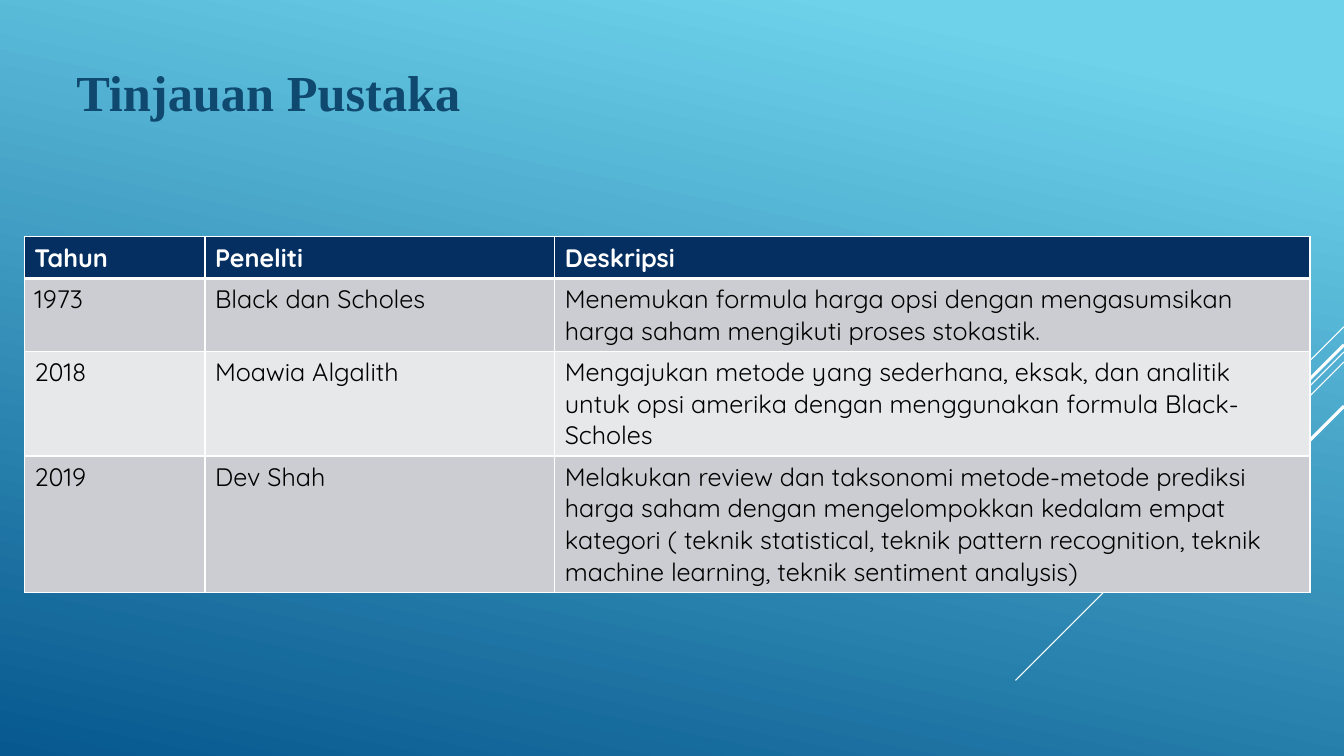
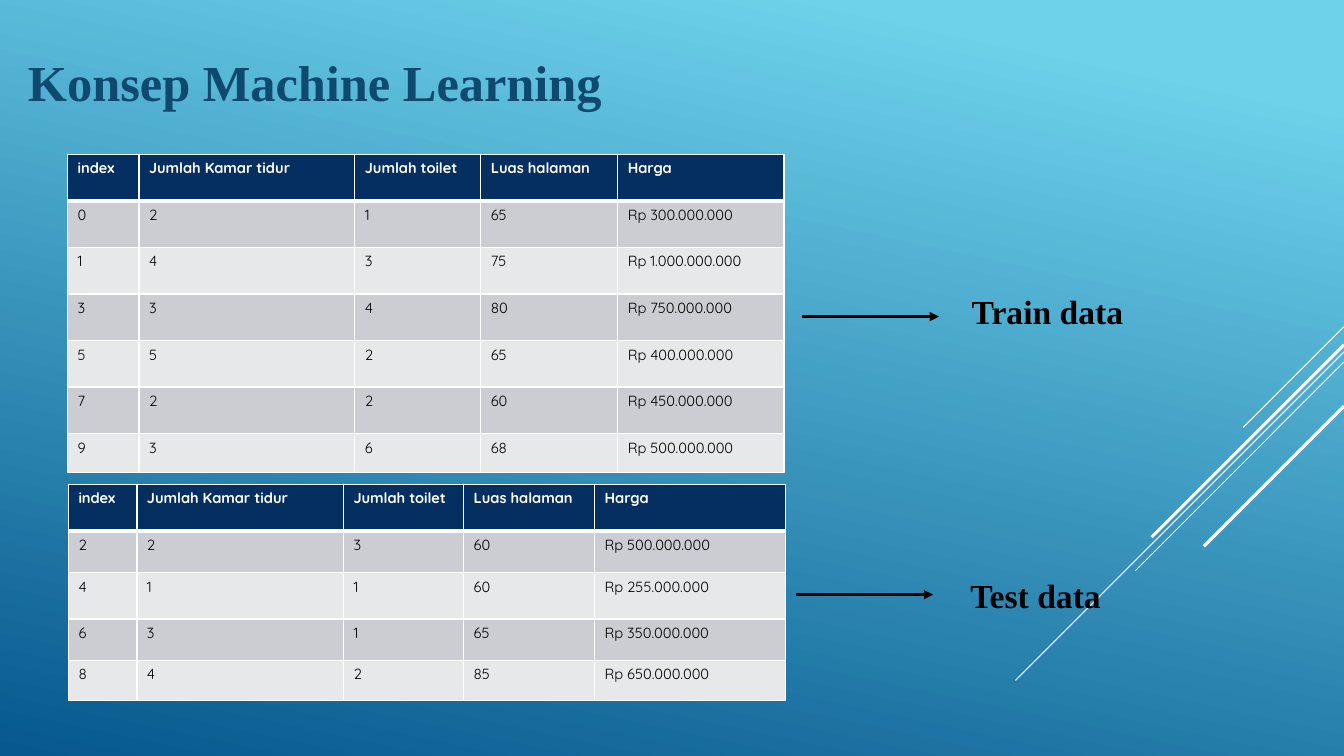
from lxml import etree
from pptx import Presentation
from pptx import util as u
from pptx.dml.color import RGBColor
from pptx.enum import shapes, text
from pptx.oxml import ns

SKY = RGBColor(0x6E, 0xD2, 0xEB)
SEA = RGBColor(0x06, 0x58, 0x8E)
INK = RGBColor(0x0F, 0x49, 0x6F)
NAVY = RGBColor(0x05, 0x2F, 0x61)
GREY = RGBColor(0xCC, 0xCD, 0xD2)
PALE = RGBColor(0xE7, 0xE8, 0xEA)
WHITE = RGBColor(0xFF, 0xFF, 0xFF)
BLACK = RGBColor(0x00, 0x00, 0x00)

SERIF = "Times New Roman"
SANS = "Quicksand"
COLS, ROWS = 32, 18
RAYS = [(7.78, 2.4, 0.75), (8.38, 7.82, 0.75), (8.62, 4.97, 0.75),
        (8.21, 4.58, 2.25), (9.67, 3.34, 2.25)]


class Deck:
    def __init__(self):
        self.prs = Presentation()
        self.prs.slide_width = u.Inches(13.333)
        self.prs.slide_height = u.Inches(7.5)
        self.slide = None

    def across(self, n):
        return u.Emu(round(self.prs.slide_width * n / COLS))

    def down(self, n):
        return u.Emu(round(self.prs.slide_height * n / ROWS))

    def box(self, x, y, w, h):
        return self.across(x), self.down(y), self.across(w), self.down(h)

    def page(self):
        self.slide = self.prs.slides.add_slide(self.prs.slide_layouts[6])
        fill = self.slide.background.fill
        fill.gradient()
        fill.gradient_angle = 258
        for stop, spot, tint in zip(fill.gradient_stops, (0.1, 1), (SKY, SEA)):
            stop.position = spot
            stop.color.rgb = tint
        for top, size, width in RAYS:
            self.line(COLS, top, COLS - size, top + size, WHITE, width)

    def style(self, frame, size, font, tint, bold):
        for par in frame.paragraphs:
            for run in par.runs:
                run.font.size = u.Pt(size)
                run.font.name = font
                run.font.color.rgb = tint
                run.font.bold = bold

    def line(self, x1, y1, x2, y2, tint, width, arrow=False):
        line = self.slide.shapes.add_connector(
            shapes.MSO_CONNECTOR.STRAIGHT, self.across(x1), self.down(y1),
            self.across(x2), self.down(y2))
        line.line.color.rgb = tint
        line.line.width = u.Pt(width)
        if arrow:
            etree.SubElement(line.line._get_or_add_ln(), ns.qn("a:tailEnd"), type="triangle")
        etree.SubElement(line._element.spPr, ns.qn("a:effectLst"))

    def label(self, words, x, y, w, h, size=24, tint=BLACK, anchor=text.MSO_ANCHOR.TOP):
        frame = self.slide.shapes.add_textbox(*self.box(x, y, w, h)).text_frame
        frame.word_wrap = True
        frame.vertical_anchor = anchor
        frame.text = words
        self.style(frame, size, SERIF, tint, True)

    def title(self, words, x, y, h):
        self.label(words, x, y, 27.6, h, 36, INK, text.MSO_ANCHOR.MIDDLE)

    def edge(self, cell, row):
        props = cell._tc.get_or_add_tcPr()
        widths = {"L": 1, "R": 1, "T": 3 if row == 1 else 1, "B": 3 if row == 0 else 1}
        for spot, (side, width) in enumerate(widths.items()):
            rule = etree.Element(ns.qn("a:ln" + side), w=str(u.Pt(width)))
            fill = etree.SubElement(rule, ns.qn("a:solidFill"))
            etree.SubElement(fill, ns.qn("a:srgbClr"), val=str(WHITE))
            props.insert(spot, rule)

    def table(self, data, x, y, cols, rows, size):
        grid = self.slide.shapes.add_table(
            len(rows), len(cols), *self.box(x, y, sum(cols), sum(rows))).table
        for col, width in zip(grid.columns, cols):
            col.width = self.across(width)
        for row, height in zip(grid.rows, rows):
            row.height = self.down(height)
        for r, line in enumerate(data):
            head = r == 0
            for c, words in enumerate(line):
                cell = grid.cell(r, c)
                cell.text_frame.text = words
                self.style(cell.text_frame, size, SANS, WHITE if head else BLACK, head)
                cell.fill.solid()
                cell.fill.fore_color.rgb = NAVY if head else (PALE, GREY)[r % 2]
                self.edge(cell, r)

    def arrow(self, x, y):
        self.line(x, y, x + 3.26, y, BLACK, 2.25, True)


STUDY = [
    ("Tahun", "Peneliti", "Deskripsi"),
    ("1973", "Black dan Scholes",
     "Menemukan formula harga opsi dengan mengasumsikan harga saham mengikuti proses stokastik."),
    ("2018", "Moawia Algalith",
     "Mengajukan metode yang sederhana, eksak, dan analitik untuk opsi amerika "
     "dengan menggunakan formula Black-Scholes"),
    ("2019", "Dev Shah",
     "Melakukan review dan taksonomi metode-metode prediksi harga saham dengan "
     "mengelompokkan kedalam empat kategori ( teknik statistical, teknik pattern "
     "recognition, teknik machine learning, teknik sentiment analysis)"),
]
HEAD = ("index", "Jumlah Kamar tidur", "Jumlah toilet", "Luas halaman", "Harga")
TRAIN = [
    HEAD,
    ("0", "2", "1", "65", "Rp 300.000.000"),
    ("1", "4", "3", "75", "Rp 1.000.000.000"),
    ("3", "3", "4", "80", "Rp 750.000.000"),
    ("5", "5", "2", "65", "Rp 400.000.000"),
    ("7", "2", "2", "60", "Rp 450.000.000"),
    ("9", "3", "6", "68", "Rp 500.000.000"),
]
TEST = [
    HEAD,
    ("2", "2", "3", "60", "Rp 500.000.000"),
    ("4", "1", "1", "60", "Rp 255.000.000"),
    ("6", "3", "1", "65", "Rp 350.000.000"),
    ("8", "4", "2", "85", "Rp 650.000.000"),
]


def main():
    deck = Deck()

    deck.page()
    deck.title("Tinjauan Pustaka", 1.58, 0.43, 3.48)
    deck.table(STUDY, 0.58, 5.64, [4.3, 8.33, 17.98],
               [0.24 + 0.75 * n for n in range(1, 5)], 18)

    deck.page()
    deck.title("Konsep Machine Learning", 0.43, 0.74, 2.38)
    deck.table(TRAIN, 1.61, 3.67, [1.7, 5.14, 3, 3.26, 3.96], [1.11] * 6 + [0.93], 10.5)
    deck.table(TEST, 1.63, 11.53, [1.63, 4.92, 2.86, 3.12, 4.54],
               [1.12, 0.98, 1.11, 0.98, 0.96], 10.5)
    deck.arrow(19.1, 7.54)
    deck.arrow(18.96, 14.16)
    deck.label("Train data", 22.9, 6.82, 5.74, 1.2)
    deck.label("Test data", 22.87, 13.56, 5.74, 1.2)

    deck.prs.save("out.pptx")


if __name__ == "__main__":
    main()
